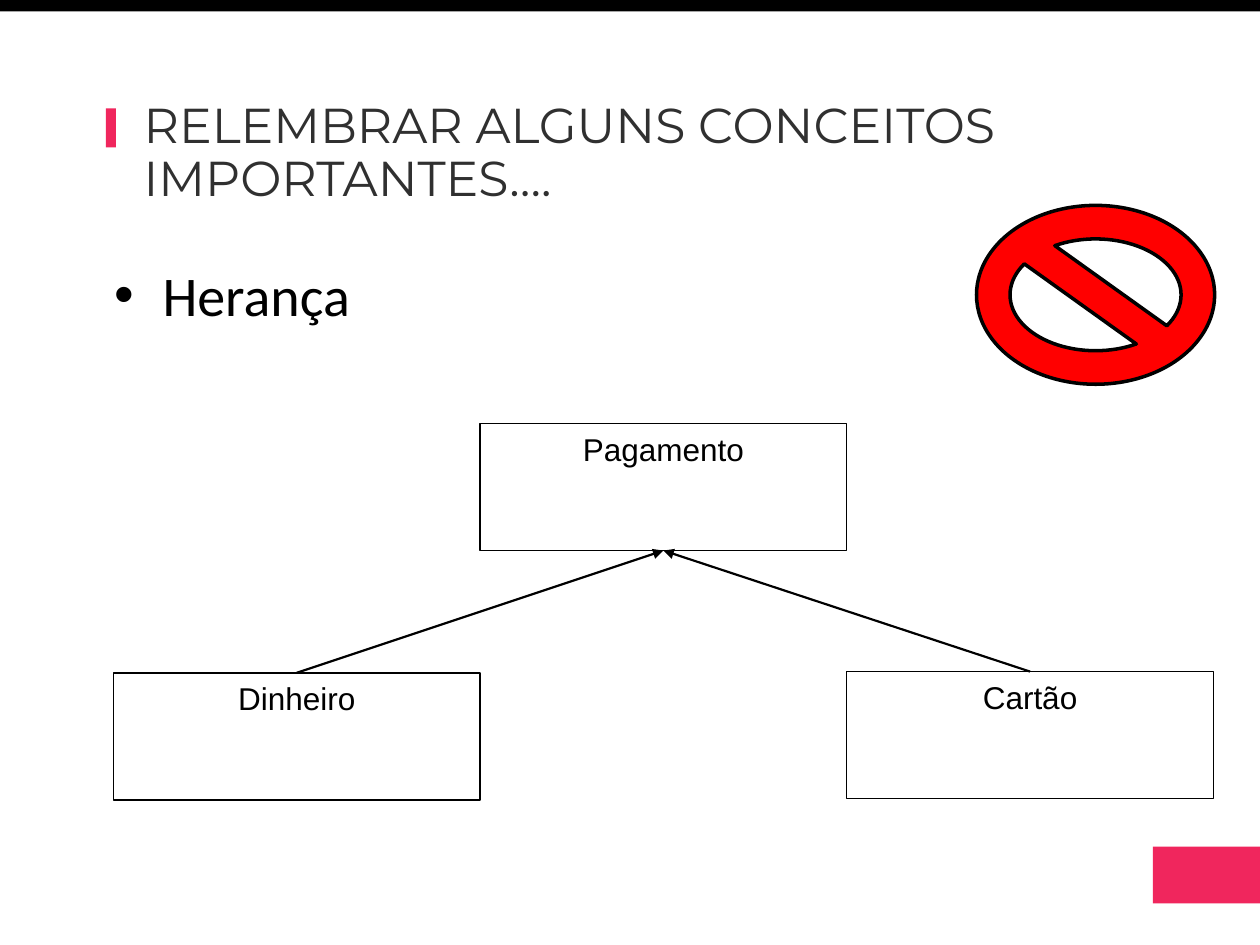
import pptx
import pptx.dml.color
import pptx.enum.shapes
import pptx.enum.text
import pptx.oxml
import pptx.oxml.ns
import pptx.util

Inches = pptx.util.Inches
Pt = pptx.util.Pt
SHAPE = pptx.enum.shapes.MSO_SHAPE
ALIGN = pptx.enum.text.PP_ALIGN
ANCHOR = pptx.enum.text.MSO_ANCHOR
AUTO_SIZE = pptx.enum.text.MSO_AUTO_SIZE

PINK = pptx.dml.color.RGBColor(0xF0, 0x26, 0x5D)
RED = pptx.dml.color.RGBColor(0xFF, 0x00, 0x00)
BLACK = pptx.dml.color.RGBColor(0x00, 0x00, 0x00)
CHARCOAL = pptx.dml.color.RGBColor(0x30, 0x30, 0x30)

TITLE_FONT = {"name": "Montserrat", "size": Pt(28), "bold": False}
TOPIC_FONT = {"name": "Calibri", "size": Pt(32)}
CLASS_FONT = {"name": "Arial", "size": Pt(18)}
TITLE_PARAGRAPH = {"alignment": ALIGN.LEFT, "line_spacing": 0.9}
TOPIC_PARAGRAPH = {"alignment": ALIGN.LEFT, "space_before": Pt(6.4)}
CLASS_PARAGRAPH = {"alignment": ALIGN.CENTER}
FRAME = {
    "word_wrap": True,
    "vertical_anchor": ANCHOR.TOP,
    "auto_size": AUTO_SIZE.NONE,
}

CLASS_WIDTH, CLASS_HEIGHT = 2.91, 1.01
TOP, BOTTOM = 0, 2


def apply_format(target, values):
    for attribute, value in values.items():
        setattr(target, attribute, value)


def place(shape, box):
    left, top, width, height = box
    apply_format(shape, {
        "left": Inches(left),
        "top": Inches(top),
        "width": Inches(width),
        "height": Inches(height),
    })


def write(shape, wording, font, paragraph_format, color):
    apply_format(shape.text_frame, FRAME)
    paragraph = shape.text_frame.paragraphs[0]
    apply_format(paragraph, paragraph_format)
    run = paragraph.add_run()
    run.text = wording
    apply_format(run.font, font)
    run.font.color.rgb = color
    return paragraph


def add_figure(slide, kind, box, fill=None, line_width=None):
    figure = slide.shapes.add_shape(kind, *map(Inches, box))
    figure.shadow.inherit = False
    if fill is None:
        figure.fill.background()
    else:
        figure.fill.solid()
        figure.fill.fore_color.rgb = fill
    if line_width is None:
        figure.line.fill.background()
    else:
        figure.line.color.rgb = BLACK
        figure.line.width = Pt(line_width)
    return figure


def add_decoration(slide, box):
    left, top, width, height = box
    add_figure(slide, SHAPE.RECTANGLE, (left + 9.15, top + 6.72, 0.85, 0.45), PINK)
    add_figure(slide, SHAPE.RECTANGLE, (left + 0.84, top + 0.86, 0.08, 0.31), PINK)
    add_figure(slide, SHAPE.RECTANGLE, (left, top, width, 0.09), BLACK)


def add_heading(slide, box):
    heading = slide.shapes.title
    place(heading, box)
    write(heading, "RELEMBRAR ALGUNS CONCEITOS IMPORTANTES….",
          TITLE_FONT, TITLE_PARAGRAPH, CHARCOAL)


def add_topic(slide, box):
    topic = slide.placeholders[1]
    place(topic, box)
    paragraph = write(topic, "Herança", TOPIC_FONT, TOPIC_PARAGRAPH, BLACK)
    properties = paragraph._p.get_or_add_pPr()
    properties.set("marL", str(Inches(0.38)))
    properties.set("indent", str(-Inches(0.38)))
    for tag, attribute, value in (("buFont", "typeface", "Arial"),
                                  ("buChar", "char", "•")):
        bullet = pptx.oxml.parse_xml(
            f'<a:{tag} {pptx.oxml.ns.nsdecls("a")} {attribute}="{value}"/>')
        properties.append(bullet)


def add_class(slide, name, left, top):
    box = (left, top, CLASS_WIDTH, CLASS_HEIGHT)
    class_box = add_figure(slide, SHAPE.RECTANGLE, box, line_width=0.75)
    write(class_box, name, CLASS_FONT, CLASS_PARAGRAPH, BLACK)
    return class_box


def add_inheritance(slide, child, parent):
    arrow = slide.shapes.add_connector(
        pptx.enum.shapes.MSO_CONNECTOR.STRAIGHT, 0, 0, 0, 0)
    arrow.begin_connect(child, TOP)
    arrow.end_connect(parent, BOTTOM)
    arrow.line.color.rgb = BLACK
    arrow.line.width = Pt(1.25)
    namespace = pptx.oxml.ns.nsdecls("a")
    arrow.line._get_or_add_ln().append(
        pptx.oxml.parse_xml(f'<a:tailEnd {namespace} type="triangle"/>'))
    arrow._element.spPr.append(
        pptx.oxml.parse_xml(f"<a:effectLst {namespace}/>"))


def add_hierarchy(slide, box):
    left, top, width, height = box
    payment = add_class(slide, "Pagamento", left + (width - CLASS_WIDTH) / 2, top)
    child_top = top + height - CLASS_HEIGHT
    cash = add_class(slide, "Dinheiro", left, child_top)
    card = add_class(slide, "Cartão", left + width - CLASS_WIDTH, child_top - 0.01)
    for child in (cash, card):
        add_inheritance(slide, child, payment)


def main():
    presentation = pptx.Presentation()
    presentation.slide_width = Inches(10)
    presentation.slide_height = Inches(7.5)
    slide = presentation.slides.add_slide(presentation.slide_layouts[1])
    add_decoration(slide, (0, 0, 10, 7.5))
    add_heading(slide, (1.04, 0.75, 8.05, 0.95))
    add_topic(slide, (0.81, 2.02, 2.85, 0.79))
    add_figure(slide, SHAPE.NO_SYMBOL, (7.75, 1.63, 1.89, 1.42), RED, 2)
    add_hierarchy(slide, (0.9, 3.36, 3 * CLASS_WIDTH, 2.99))
    presentation.save("out.pptx")


if __name__ == "__main__":
    main()
